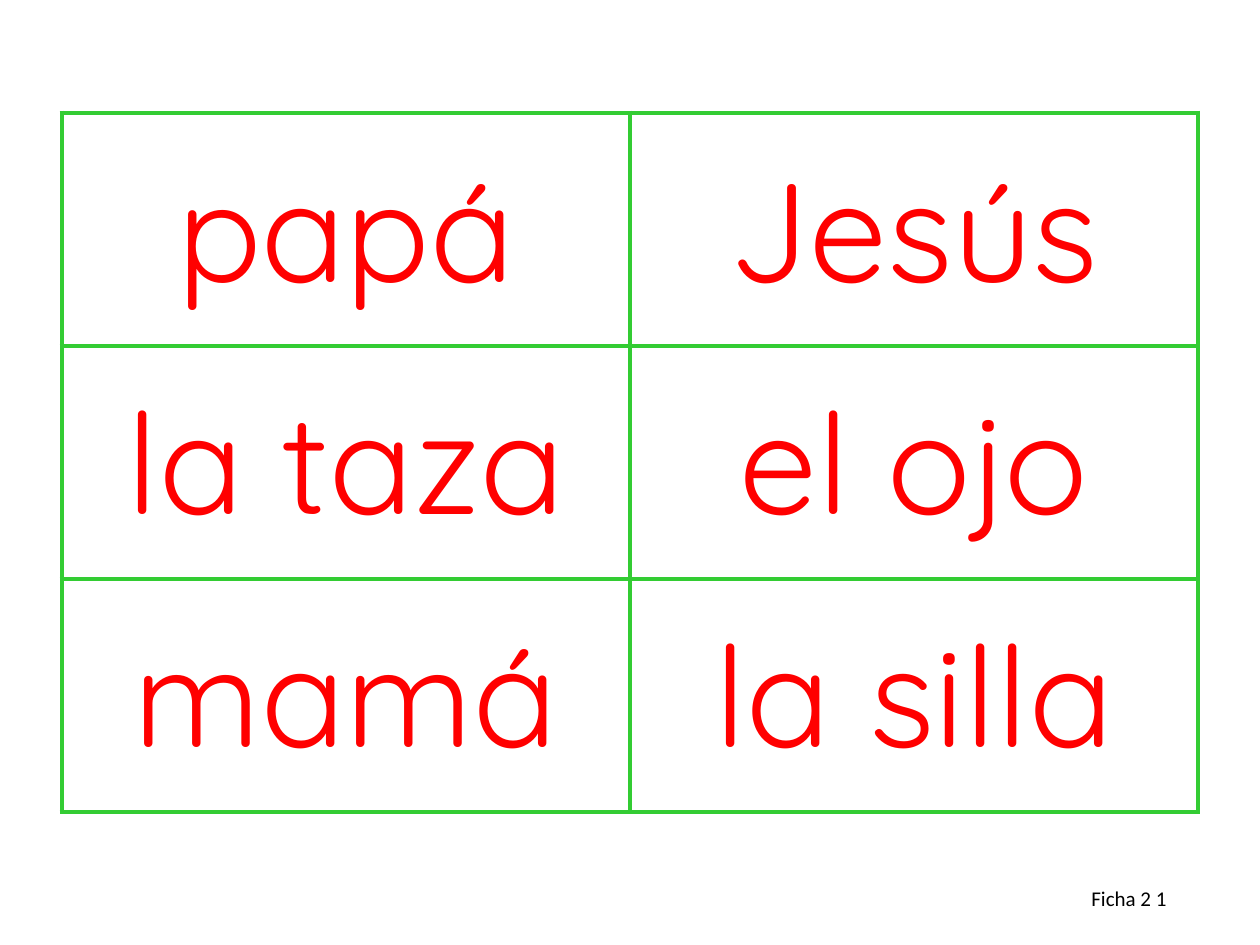
from lxml.etree import SubElement
from pptx import Presentation
from pptx.dml.color import RGBColor
from pptx.enum.text import MSO_ANCHOR, MSO_AUTO_SIZE, PP_ALIGN
from pptx.oxml.ns import qn
from pptx.util import Emu, Pt

PX_PER_INCH = 126
GREEN, RED, BLACK = "33CC33", "FF0000", "000000"


def px(length):
    return Emu(round(length * 914400 / PX_PER_INCH))


def style(paragraph, font_name, size, color):
    font = paragraph.runs[0].font
    font.name, font.size = font_name, Pt(size)
    font.color.rgb = RGBColor.from_string(color)


deck = Presentation()
deck.slide_width, deck.slide_height = px(1260), px(945)
slide = deck.slides.add_slide(deck.slide_layouts[6])

# Word cards
words = [
    ["papá", "Jesús"],
    ["la taza", "el ojo"],
    ["mamá", "la silla"],
]
card_width, card_height = 568, 233
cards = slide.shapes.add_table(
    len(words), 2, px(62), px(113), px(2 * card_width), px(len(words) * card_height)
).table
cards.first_row = cards.horz_banding = False

for row, pair in enumerate(words):
    for col, word in enumerate(pair):
        card = cards.cell(row, col)
        card.vertical_anchor = MSO_ANCHOR.MIDDLE
        card.margin_left = card.margin_right = px(21)
        card.margin_top = card.margin_bottom = px(6)
        label = card.text_frame.paragraphs[0]
        label.text = word
        label.alignment = PP_ALIGN.CENTER
        style(label, "Quicksand", 80, RED)

        # Borders come before the fill in the cell properties
        properties = card._tc.get_or_add_tcPr()
        for side in ("a:lnL", "a:lnR", "a:lnT", "a:lnB"):
            border = SubElement(properties, qn(side), w=str(Pt(3)))
            paint = SubElement(border, qn("a:solidFill"))
            SubElement(paint, qn("a:srgbClr"), val=GREEN)
        card.fill.background()

# Sheet number
footer = slide.shapes.add_textbox(px(1079), px(879), px(134), px(38)).text_frame
footer.word_wrap = True
footer.auto_size = MSO_AUTO_SIZE.SHAPE_TO_FIT_TEXT
footer.text = "Ficha 2 1"
style(footer.paragraphs[0], "Calibri", 12, BLACK)

deck.save("out.pptx")
